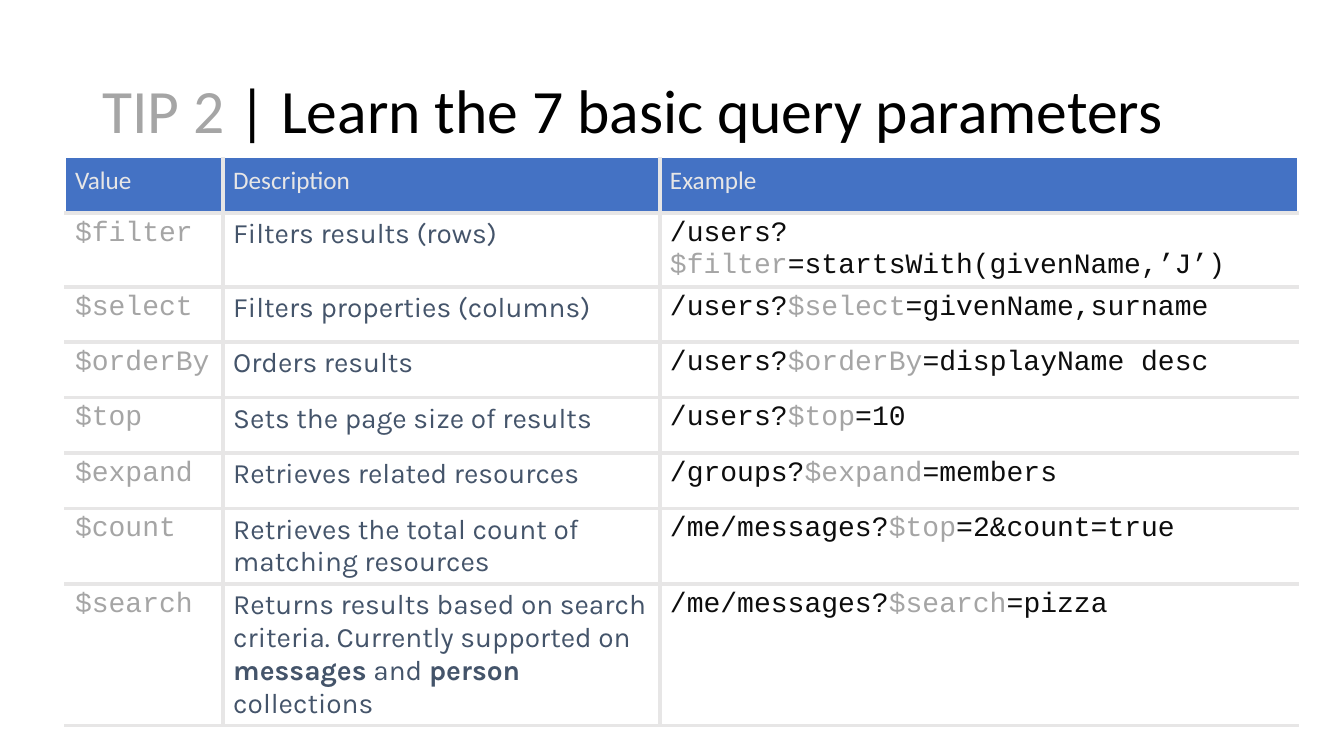
from typing import NamedTuple

from lxml import etree
from pptx import Presentation
from pptx.dml.color import RGBColor
from pptx.enum.text import MSO_ANCHOR
from pptx.oxml.ns import qn
from pptx.util import Pt

MIDDLE, TOP = MSO_ANCHOR.MIDDLE, MSO_ANCHOR.TOP
GRAY, BLACK, INK, SLATE = "A5A5A5", "000000", "0D0D0D", "44546A"
BLUE, WHITE, PALE = "4472C4", "FFFFFF", "E7E6E6"
SANS, CODE, BODY = "Calibri", "Courier New", "Karla"
WIDTHS = (113, 312, 455.8)
HEIGHTS = (39.6,) * 7 + (100.8,)
HEADS = ("Value", "Description", "Example")


class Run(NamedTuple):
    text: str
    color: str
    bold: bool = False


class Query(NamedTuple):
    value: str
    about: list[Run]
    base: str
    key: str
    tail: str


def plain(text: str) -> list[Run]:
    return [Run(text, SLATE)]


QUERIES = [
    Query("$filter", plain("Filters results (rows)"),
          "/users?", "$filter", "=startsWith(givenName,’J’)"),
    Query("$select", plain("Filters properties (columns)"),
          "/users?", "$select", "=givenName,surname"),
    Query("$orderBy", plain("Orders results"),
          "/users?", "$orderBy", "=displayName desc"),
    Query("$top", plain("Sets the page size of results"),
          "/users?", "$top", "=10"),
    Query("$expand", plain("Retrieves related resources"),
          "/groups?", "$expand", "=members"),
    Query("$count", plain("Retrieves the total count of matching resources"),
          "/me/messages?", "$top", "=2&count=true"),
    Query("$search",
          [Run("Returns results based on search criteria. Currently supported on ", SLATE),
           Run("messages", SLATE, True), Run(" and ", SLATE),
           Run("person", SLATE, True), Run(" collections", SLATE)],
          "/me/messages?", "$search", "=pizza"),
]


def paint(target, color: str) -> None:
    """Set the colour of a solid fill or a font."""
    target.rgb = RGBColor.from_string(color)


def write(frame, runs: list[Run], *, font: str, size: float, lead=None) -> None:
    """Fill the first paragraph of a text frame with formatted runs."""
    frame.word_wrap = True
    para = frame.paragraphs[0]
    if lead is not None:
        para.line_spacing = lead
    for item in runs:
        run = para.add_run()
        run.text = item.text
        run.font.name, run.font.size, run.font.bold = font, Pt(size), item.bold
        paint(run.font.color, item.color)


def border(cell, sides: str) -> None:
    props = cell._tc.get_or_add_tcPr()
    for side in sides:
        line = etree.SubElement(props, qn(f"a:ln{side}"), w=str(Pt(3)))
        fill = etree.SubElement(line, qn("a:solidFill"))
        etree.SubElement(fill, qn("a:srgbClr"), val=PALE)


def style(cell, row: int, col: int) -> None:
    """Rule the inner edges and the bottom, then fill and anchor."""
    sides = "L" if col else ""
    sides += "R" if col < len(WIDTHS) - 1 else ""
    sides += "T" if row else ""
    border(cell, sides + "B")
    cell.fill.solid()
    paint(cell.fill.fore_color, WHITE if row else BLUE)
    cell.vertical_anchor = TOP if row else MIDDLE


def add_grid(slide) -> None:
    shape = slide.shapes.add_table(len(HEIGHTS), len(WIDTHS), Pt(46.4), Pt(112.6),
                                   Pt(sum(WIDTHS)), Pt(sum(HEIGHTS)))
    grid = shape.table
    grid.horz_banding = False
    for column, width in zip(grid.columns, WIDTHS):
        column.width = Pt(width)
    for line, height in zip(grid.rows, HEIGHTS):
        line.height = Pt(height)
    for row in range(len(HEIGHTS)):
        for col in range(len(WIDTHS)):
            style(grid.cell(row, col), row, col)
    for col, head in enumerate(HEADS):
        write(grid.cell(0, col).text_frame, [Run(head, PALE)],
              font=SANS, size=18, lead=Pt(16))
    for row, query in enumerate(QUERIES, 1):
        sample = [Run(query.base, INK), Run(query.key, GRAY), Run(query.tail, INK)]
        parts = ((CODE, [Run(query.value, GRAY)]), (BODY, query.about), (CODE, sample))
        for col, (font, runs) in enumerate(parts):
            write(grid.cell(row, col).text_frame, runs, font=font, size=20)


def add_title(slide) -> None:
    frame = slide.shapes.add_textbox(Pt(66), Pt(28.75), Pt(828), Pt(104.4)).text_frame
    frame.vertical_anchor = MIDDLE
    write(frame, [Run("TIP 2 ", GRAY), Run("| Learn the 7 basic query parameters", BLACK)],
          font=SANS, size=44, lead=0.9)


def main() -> None:
    deck = Presentation()
    deck.slide_width, deck.slide_height = Pt(960), Pt(540)
    slide = deck.slides.add_slide(deck.slide_layouts[6])
    add_grid(slide)
    add_title(slide)
    deck.save("out.pptx")


if __name__ == "__main__":
    main()
